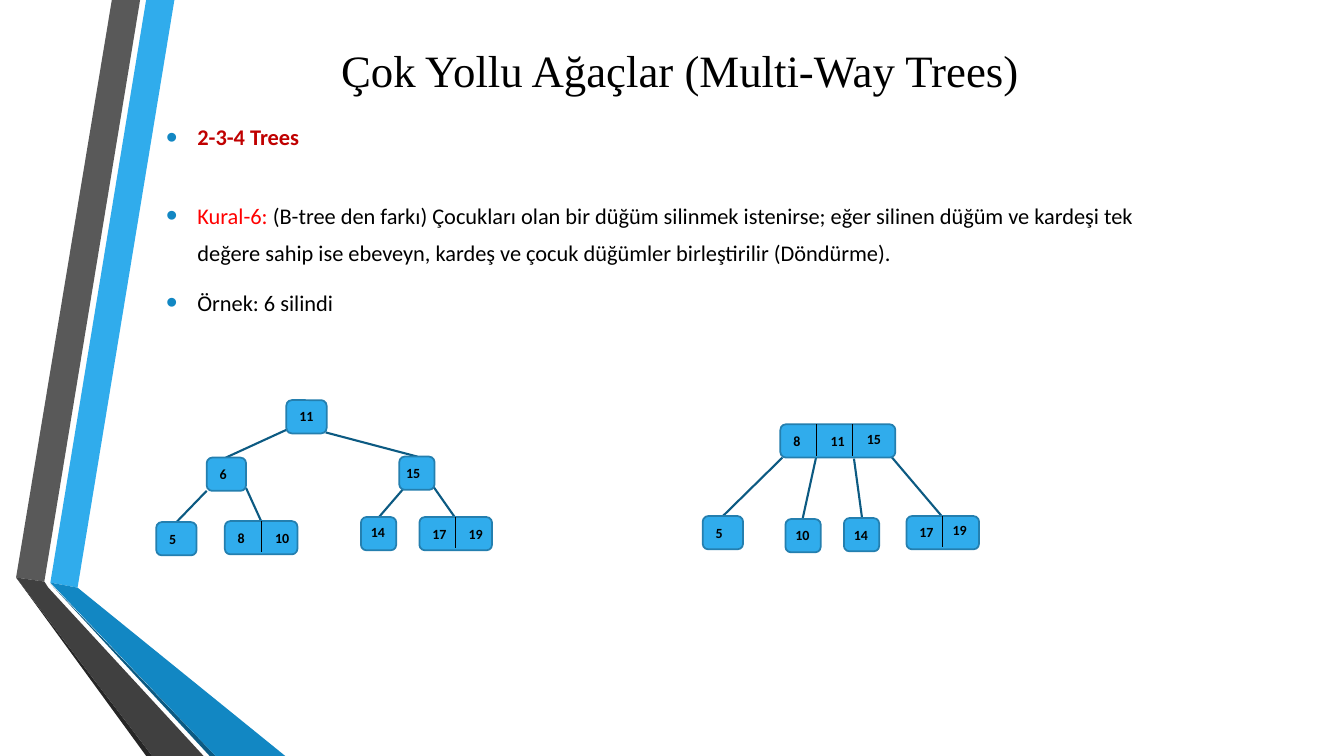
from pptx import Presentation
from pptx.util import Inches, Pt
from pptx.dml.color import RGBColor
from pptx.enum.shapes import MSO_SHAPE as Shape, MSO_CONNECTOR as Link
from pptx.enum.text import PP_ALIGN as Align, MSO_ANCHOR as Anchor
from pptx.oxml import parse_xml
from pptx.oxml.ns import nsdecls, qn
from lxml import etree

SKY = RGBColor(0x30, 0xAC, 0xEC)
RIM = RGBColor(0x24, 0x7F, 0xAF)
BLUE = RGBColor(0x12, 0x87, 0xC3)
NAVY = RGBColor(0x0C, 0x5A, 0x82)
GRAY = RGBColor(0x59, 0x59, 0x59)
DARK = RGBColor(0x40, 0x40, 0x40)
COAL = RGBColor(0x26, 0x26, 0x26)
BLACK = RGBColor(0, 0, 0)
RED = RGBColor(0xFF, 0, 0)
WINE = RGBColor(0xC0, 0, 0)

# Folded ribbon at the left edge
BANDS = [
    (SKY, [(0.5, 5.78), (0.77, 5.83), (1.73, 0), (1.45, 0)]),
    (GRAY, [(1.39, 0), (1.11, 0), (0.16, 5.73), (0.44, 5.77)]),
    (COAL, [(0.16, 5.73), (1.45, 7.5), (1.51, 7.5)]),
    (NAVY, [(0.5, 5.79), (2.08, 7.5), (2.14, 7.5)]),
    (BLUE, [(0.5, 5.78), (2.14, 7.5), (2.83, 7.5), (0.77, 5.83)]),
    (DARK, [(2.02, 7.5), (0.48, 5.83), (0.44, 5.77), (0.16, 5.73), (1.51, 7.5)]),
]

# Body items: space before and after in points, then runs (text, colour, bold)
ITEMS = [
    (0, 0, [("2-3-4 Trees", WINE, True)]),
    (29, 6, [("Kural-6:", RED, False),
             (" (B-tree den farkı) Çocukları olan bir düğüm silinmek istenirse; "
              "eğer silinen düğüm ve kardeşi tek değere sahip ise ebeveyn, kardeş "
              "ve çocuk düğümler birleştirilir (Döndürme).", BLACK, False)]),
    (2.5, 6, [("Örnek: 6 silindi", BLACK, False)]),
]

# Nodes: left, top, width, keys (text, dx, dy); edges: x1, y1, x2, y2
CELL, TALL = 0.36, 0.33
OLD_NODES = [
    (1.29, 0, 0.4, [("11", 0.03, 0.02)]),
    (0.5, 0.57, 0.39, [("6", 0.03, 0.03)]),
    (2.41, 0.56, 0.35, [("15", -0.03, 0.03)]),
    (0, 1.21, 0.4, [("5", 0.03, 0.03)]),
    (0.68, 1.2, 0.72, [("8", 0.03, 0.03), ("10", 0.4, 0.03)]),
    (2.03, 1.16, 0.35, [("14", 0, 0.01)]),
    (2.61, 1.16, 0.72, [("17", 0.03, 0.03), ("19", 0.39, 0.03)]),
]
OLD_EDGES = [
    (1.3, 0.29, 0.69, 0.57), (1.68, 0.32, 2.59, 0.56),
    (0.5, 0.9, 0.2, 1.21), (0.89, 0.87, 1.04, 1.2),
    (2.45, 0.88, 2.2, 1.17), (2.75, 0.86, 2.96, 1.16),
]
NEW_NODES = [
    (0.77, 0.01, 1.14, [("8", 0.03, 0.03), ("11", 0.4, 0.03), ("15", 0.76, 0.01)]),
    (0, 0.92, 0.4, [("5", 0.03, 0.03)]),
    (0.82, 0.95, 0.35, [("10", 0, 0.02)]),
    (1.4, 0.94, 0.35, [("14", 0, 0.03)]),
    (2.02, 0.92, 0.72, [("17", 0.03, 0.02), ("19", 0.36, 0)]),
]
NEW_EDGES = [
    (0.79, 0.34, 0.2, 0.92), (1.13, 0.31, 0.99, 0.95),
    (1.5, 0.35, 1.58, 0.94), (1.87, 0.33, 2.37, 0.92),
]


def style(run, size, color, bold=False, face="Calibri"):
    font = run.font
    font.name, font.size, font.bold = face, Pt(size), bold
    font.color.rgb = color


def add_bands(slide):
    for color, pts in BANDS:
        pts = [(Inches(x), Inches(y)) for x, y in pts]
        pen = slide.shapes.build_freeform(*pts[0])
        pen.add_line_segments(pts[1:], close=True)
        band = pen.convert_to_shape()
        band.shadow.inherit = False
        band.fill.solid()
        band.fill.fore_color.rgb = color
        band.line.fill.background()


def add_title(slide, x, y, w, h):
    title = slide.shapes.title
    title.left, title.top = Inches(x), Inches(y)
    title.width, title.height = Inches(w), Inches(h)
    frame = title.text_frame
    frame.text = "Çok Yollu Ağaçlar (Multi-Way Trees)"
    frame.vertical_anchor = Anchor.MIDDLE
    para = frame.paragraphs[0]
    para.alignment = Align.CENTER
    style(para.runs[0], 32, BLACK, face="Times New Roman")


def add_bullet(para):
    props = para._p.get_or_add_pPr()
    props.set("marL", str(Inches(0.31)))
    props.set("indent", str(-Inches(0.31)))
    ns = nsdecls("a")
    for xml in (f'<a:buClr {ns}><a:srgbClr val="{BLUE}"/></a:buClr>',
                f'<a:buSzPct {ns} val="145000"/>',
                f'<a:buFont {ns} typeface="Arial"/>',
                f'<a:buChar {ns} char="•"/>'):
        props.append(parse_xml(xml))


def add_body(slide, x, y, w, h):
    box = slide.shapes.add_textbox(Inches(x), Inches(y), Inches(w), Inches(h))
    frame = box.text_frame
    frame.word_wrap = True
    for i, (before, after, runs) in enumerate(ITEMS):
        para = frame.add_paragraph() if i else frame.paragraphs[0]
        add_bullet(para)
        para.line_spacing = 1.4
        if before:
            para.space_before = Pt(before)
        para.space_after = Pt(after)
        for text, color, bold in runs:
            run = para.add_run()
            run.text = text
            style(run, 16, color, bold)


def add_line(slide, x1, y1, x2, y2, color, width):
    line = slide.shapes.add_connector(
        Link.STRAIGHT, Inches(x1), Inches(y1), Inches(x2), Inches(y2))
    line.line.color.rgb = color
    line.line.width = Pt(width)
    etree.SubElement(line._element.spPr, qn("a:effectLst"))


def add_node(slide, x, y, w, keys):
    node = slide.shapes.add_shape(
        Shape.ROUNDED_RECTANGLE, Inches(x), Inches(y), Inches(w), Inches(TALL))
    node.shadow.inherit = False
    node.fill.solid()
    node.fill.fore_color.rgb = SKY
    node.line.color.rgb = RIM
    node.line.width = Pt(1.25)
    # Dividers between keys
    for i in range(1, len(keys)):
        add_line(slide, x + i * CELL, y, x + i * CELL, y + 0.31, BLACK, 0.75)
    # Key labels
    for text, dx, dy in keys:
        label = slide.shapes.add_textbox(
            Inches(x + dx), Inches(y + dy), Inches(CELL), Inches(0.27))
        frame = label.text_frame
        frame.word_wrap = True
        frame.text = text
        style(frame.paragraphs[0].runs[0], 10, BLACK, True)


def add_tree(slide, x, y, nodes, edges):
    for x1, y1, x2, y2 in edges:
        add_line(slide, x + x1, y + y1, x + x2, y + y2, NAVY, 1.5)
    for dx, dy, w, keys in nodes:
        add_node(slide, x + dx, y + dy, w, keys)


def main():
    deck = Presentation()
    deck.slide_width, deck.slide_height = Inches(13.33), Inches(7.5)
    slide = deck.slides.add_slide(deck.slide_layouts[5])
    add_bands(slide)
    add_title(slide, 1.55, 0.17, 10.39, 1.04)
    add_body(slide, 1.55, 1.07, 10.39, 2.18)
    add_tree(slide, 1.55, 3.97, OLD_NODES, OLD_EDGES)
    add_tree(slide, 6.97, 4.2, NEW_NODES, NEW_EDGES)
    deck.save("out.pptx")


if __name__ == "__main__":
    main()
